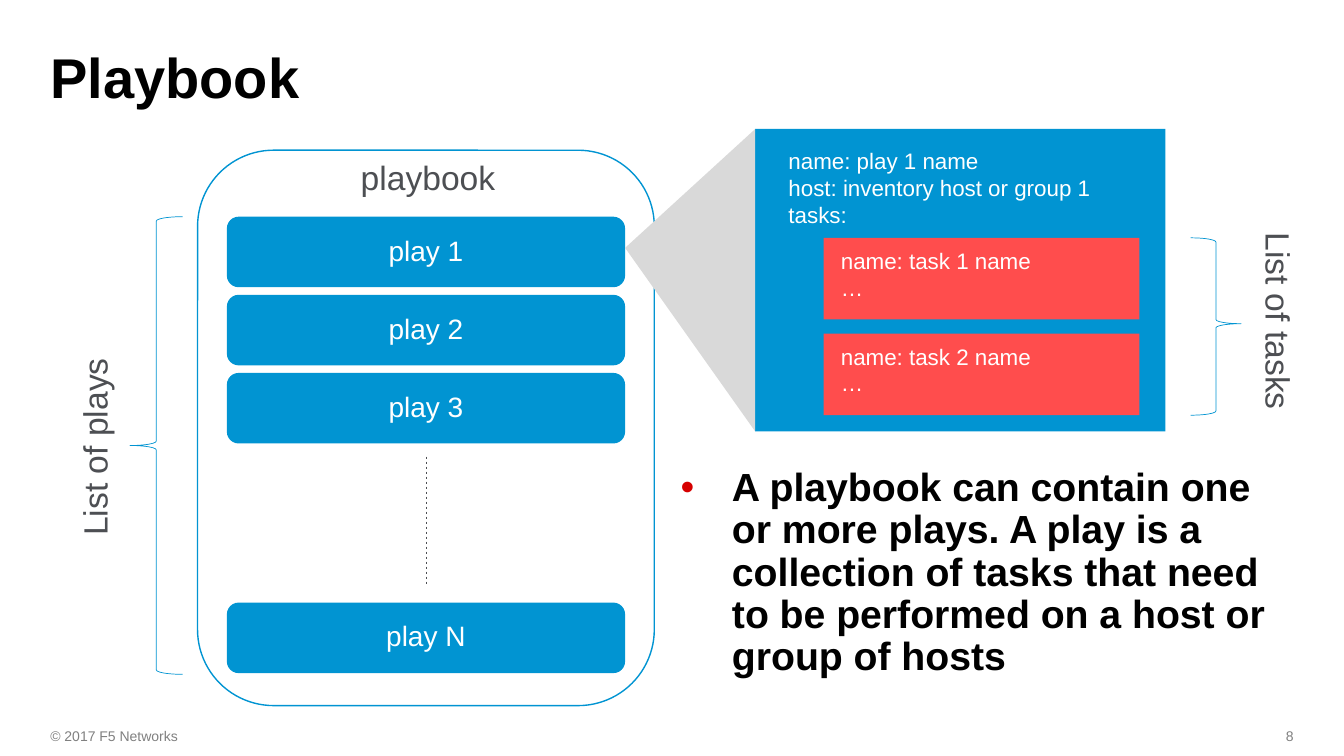
from dataclasses import dataclass

from lxml.etree import SubElement
from pptx import Presentation
from pptx.dml.color import RGBColor
from pptx.enum.dml import MSO_LINE
from pptx.enum.shapes import MSO_CONNECTOR, MSO_SHAPE as Shape
from pptx.enum.text import MSO_ANCHOR as Anchor, MSO_AUTO_SIZE, PP_ALIGN as Align
from pptx.oxml.ns import qn
from pptx.util import Inches, Pt

# Content
TITLE = "Playbook"
SUMMARY = ("A playbook can contain one or more plays. A play is a collection of tasks "
           "that need to be performed on a host or group of hosts")
PLAYS = [("play 1", 0), ("play 2", 1), ("play 3", 2), ("play N", 4.94)]  # label, row
PLAY_DETAIL = ["name: play 1 name", "host: inventory host or group 1", "tasks:"]
TASKS = [["name: task 1 name", "…"], ["name: task 2 name", "…"]]
COPYRIGHT, PAGE = "© 2017 F5 Networks", "8"


@dataclass(frozen=True)
class Theme:
    font: str = "Arial"
    blue: str = "0194D2"
    red: str = "FF4D4D"
    bullet: str = "D60000"
    beam: str = "D9D9D9"
    gray: str = "4D4F53"
    footer: str = "808080"
    black: str = "000000"
    white: str = "FFFFFF"
    title_pt: int = 40
    summary_pt: int = 28
    label_pt: int = 24
    play_pt: int = 20
    detail_pt: int = 16
    footer_pt: int = 10


T = Theme()

# Grid, in inches
W, H = 13.33, 7.5
MARGIN = 0.33
INSET = 0.17
PLAY_X, PLAY_Y, PLAY_W, PLAY_H, PLAY_STEP = 2.25, 2.15, 3.95, 0.7, 0.775
TASK_X, TASK_Y, TASK_W, TASK_H, TASK_STEP = 8.17, 2.36, 3.13, 0.81, 0.95
PANEL_X, PANEL_Y, PANEL_W, PANEL_H = 7.49, 1.28, 4.07, 3
FOOT_Y, FOOT_H = 7.1, 0.4
LABEL_W, LABEL_H = 2.12, 0.75

prs = Presentation()
prs.slide_width, prs.slide_height = Inches(W), Inches(H)
slide = prs.slides.add_slide(prs.slide_layouts[1])


def rgb(color):
    return RGBColor.from_string(color)


def place(sp, x, y, w, h):
    sp.left, sp.top, sp.width, sp.height = map(Inches, (x, y, w, h))


def write(sp, lines, size, color, bold=False, align=Align.LEFT, anchor=Anchor.TOP,
          spacing=1.0, inset=INSET, wrap=True):
    tf = sp.text_frame
    tf.auto_size, tf.word_wrap, tf.vertical_anchor = MSO_AUTO_SIZE.NONE, wrap, anchor
    tf.margin_left = tf.margin_right = tf.margin_top = tf.margin_bottom = Inches(inset)
    for i, line in enumerate(lines):
        p = tf.add_paragraph() if i else tf.paragraphs[0]
        p.alignment, p.line_spacing, p.space_before = align, spacing, Pt(0)
        r = p.add_run()
        r.text = line
        r.font.name, r.font.size, r.font.bold = T.font, Pt(size), bold
        r.font.color.rgb = rgb(color)


def add_text(box, lines, size, color, rotation=0, **style):
    sp = slide.shapes.add_textbox(*map(Inches, box))
    sp.rotation = rotation
    write(sp, lines, size, color, **style)


def add_shape(kind, box, fill=None, line=None, width=1, adjust=(), rotation=0):
    sp = slide.shapes.add_shape(kind, *map(Inches, box))
    sp.shadow.inherit = False
    sp.rotation = rotation
    for i, value in enumerate(adjust):
        sp.adjustments[i] = value
    if fill:
        sp.fill.solid()
        sp.fill.fore_color.rgb = rgb(fill)
    else:
        sp.fill.background()
    if line:
        sp.line.color.rgb, sp.line.width = rgb(line), Pt(width)
    else:
        sp.line.fill.background()
    return sp


def add_bullet(p, color, indent):
    pPr = p._p.get_or_add_pPr()
    pPr.set("marL", str(Inches(indent)))
    pPr.set("indent", str(-Inches(indent)))
    SubElement(SubElement(pPr, qn("a:buClr")), qn("a:srgbClr")).set("val", color)
    SubElement(pPr, qn("a:buFont")).set("typeface", T.font)
    SubElement(pPr, qn("a:buChar")).set("char", "•")


# Title, summary and footer
title, body = slide.placeholders
place(title, MARGIN, MARGIN, W - 2 * MARGIN, 0.95)
write(title, [TITLE], T.title_pt, T.black, bold=True, spacing=0.9)
place(body, 6.58, 4.47, 6.42, 2.53)
write(body, [SUMMARY], T.summary_pt, T.black, bold=True, spacing=0.9)
add_bullet(body.text_frame.paragraphs[0], T.bullet, 0.51)
add_text((MARGIN, FOOT_Y, 4.5, FOOT_H), [COPYRIGHT], T.footer_pt, T.footer,
         anchor=Anchor.MIDDLE)
add_text((W - MARGIN - 3, FOOT_Y, 3, FOOT_H), [PAGE], T.footer_pt, T.footer,
         anchor=Anchor.MIDDLE, align=Align.RIGHT)

# Playbook outline and the panel for one play
add_shape(Shape.ROUNDED_RECTANGLE, (1.96, 1.49, 4.53, 5.51), line=T.blue)
add_shape(Shape.RECTANGLE, (PANEL_X, PANEL_Y, PANEL_W, PANEL_H), fill=T.blue)
add_text((7.65, 1.29, 3.38, 1.15), PLAY_DETAIL, T.detail_pt, T.white, wrap=False)
for i, task in enumerate(TASKS):
    y = TASK_Y + i * TASK_STEP
    add_shape(Shape.RECTANGLE, (TASK_X, y, TASK_W, TASK_H), fill=T.red)
    add_text((TASK_X, y - 0.08, TASK_W, 0.88), task, T.detail_pt, T.white)

# Plays
for label, row in PLAYS:
    sp = add_shape(Shape.ROUNDED_RECTANGLE,
                   (PLAY_X, PLAY_Y + row * PLAY_STEP, PLAY_W, PLAY_H), fill=T.blue)
    write(sp, [label], T.play_pt, T.white, align=Align.CENTER, anchor=Anchor.MIDDLE,
          spacing=0.9, inset=0.05)

# Beam from play 1 to its panel: a triangle turned on its side
beam_w, beam_h = PANEL_H, PANEL_X - PLAY_X - PLAY_W
beam_x = PANEL_X - (beam_h + beam_w) / 2
beam_y = PANEL_Y + (PANEL_H - beam_h) / 2
add_shape(Shape.ISOSCELES_TRIANGLE, (beam_x, beam_y, beam_w, beam_h), fill=T.beam,
          adjust=[0.607], rotation=270)

# Braces and their labels
add_shape(Shape.LEFT_BRACE, (1.29, PLAY_Y, 0.52, 4.54), line=T.blue, width=0.5)
add_shape(Shape.RIGHT_BRACE, (11.81, TASK_Y, 0.5, TASK_STEP + TASK_H), line=T.blue,
          width=0.5, adjust=[0.083, 0.484])
for x, y, label, rotation in [(-0.12, 4.05, "List of plays", 270),
                              (11.62, 2.82, "List of tasks", 90)]:
    add_text((x, y, LABEL_W, LABEL_H), [label], T.label_pt, T.gray, rotation=rotation,
             wrap=False)

# Dashed line for the plays left out
mid = PLAY_X + PLAY_W / 2
dash = slide.shapes.add_connector(MSO_CONNECTOR.STRAIGHT,
                                  *map(Inches, (mid, 4.53, mid, 5.81)))
dash.line.color.rgb, dash.line.width = rgb(T.gray), Pt(0.5)
dash.line.dash_style = MSO_LINE.DASH
SubElement(dash._element.spPr, qn("a:effectLst"))

add_text((1.98, 1.39, 4.53, LABEL_H), ["playbook"], T.label_pt, T.gray, align=Align.CENTER)

prs.save("out.pptx")
